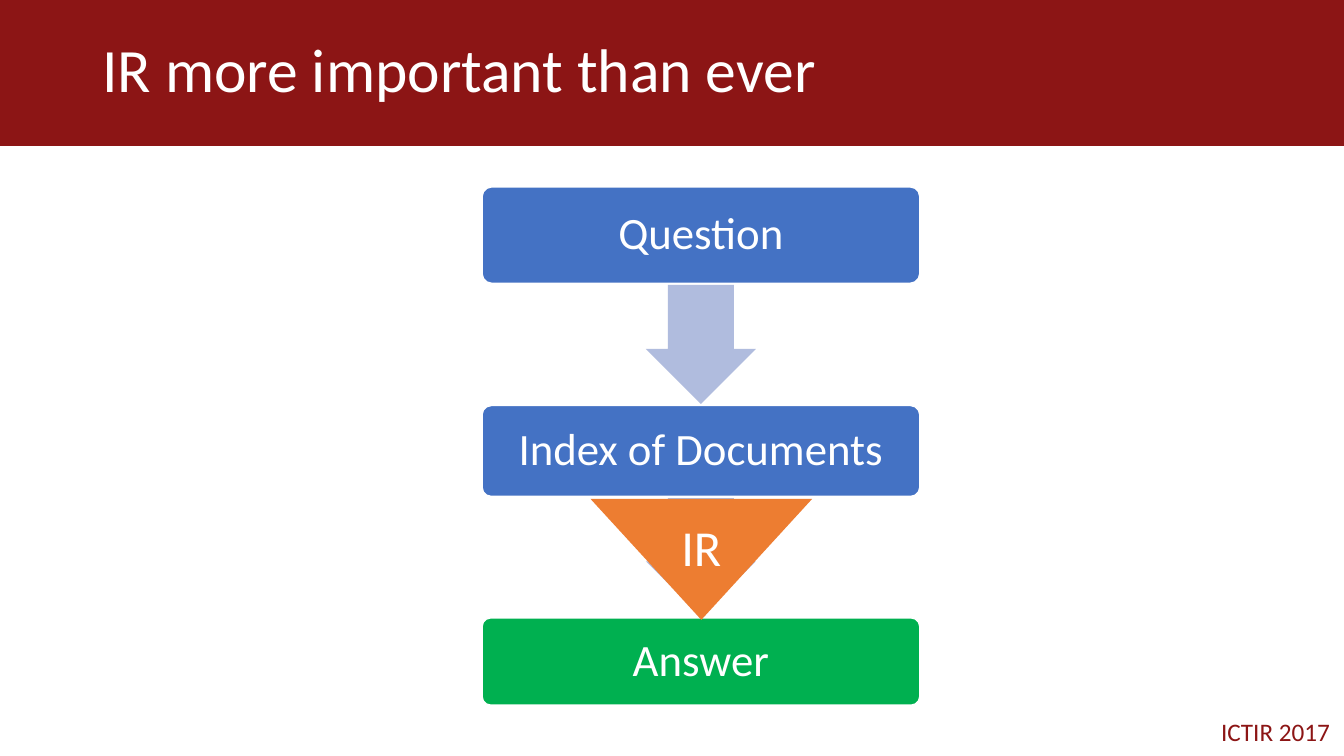
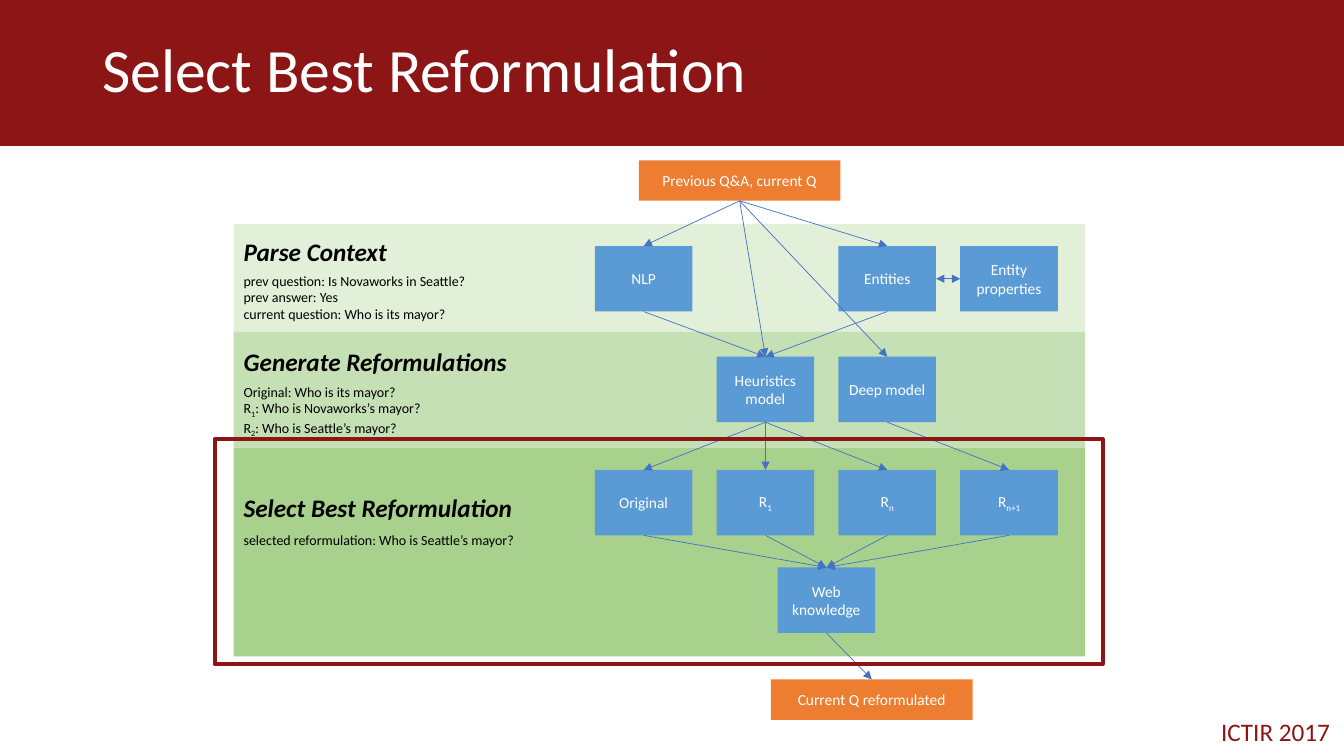
"""Builds two slides on question answering: a retrieval flow and a reformulation pipeline."""
import pptx
import pptx.util
import pptx.dml.color
import pptx.enum.shapes
import pptx.enum.text
import pptx.oxml.ns
from lxml import etree

Cm, Pt = pptx.util.Cm, pptx.util.Pt
RGBColor = pptx.dml.color.RGBColor
SHAPE = pptx.enum.shapes.MSO_SHAPE
ALIGN = pptx.enum.text.PP_ALIGN
ANCHOR = pptx.enum.text.MSO_ANCHOR
qn = pptx.oxml.ns.qn

CARDINAL = RGBColor(0x8C, 0x15, 0x15)
WHITE = RGBColor(0xFF, 0xFF, 0xFF)
BLACK = RGBColor(0, 0, 0)
BLUE = RGBColor(0x44, 0x72, 0xC4)
LIGHT_BLUE = RGBColor(0x5B, 0x9B, 0xD5)
PALE_BLUE = RGBColor(0xB0, 0xBC, 0xDE)
ORANGE = RGBColor(0xED, 0x7D, 0x31)
GREEN = RGBColor(0x00, 0xB0, 0x50)
STAGE_GREENS = [RGBColor(0xE2, 0xF0, 0xD9), RGBColor(0xC5, 0xE0, 0xB4), RGBColor(0xA9, 0xD1, 0x8E)]

FONT = "Calibri"
WIDTH, HEIGHT, BAND_HEIGHT = 33.87, 19.05, 3.68
FOOTER = "ICTIR 2017"

FLOW_TITLE = "IR more important than ever"
FLOW_LEFT, FLOW_WIDTH = 12.15, 11.03
FLOW_STEPS = [
    ("Question", 4.71, 2.43, BLUE),
    ("Index of Documents", 10.22, 2.29, BLUE),
    ("Answer", 15.57, 2.2, GREEN),
]
ARROW_WIDTH, ARROW_GAP = 2.77, 0.04
RETRIEVAL = ("IR", 14.88, 12.57, 5.59, 3.05)

PIPELINE_TITLE = "Select Best Reformulation"
STAGE_LEFT, STAGE_TOP, STAGE_WIDTH = 5.89, 5.64, 21.46
STAGES = [
    ("Parse Context", 2.72, 5.82, 6.73, [
        ["prev question: Is Novaworks in Seattle?"],
        ["prev answer: Yes"],
        ["current question: Who is its mayor?"],
    ]),
    ("Generate Reformulations", 2.92, 8.59, 9.53, [
        ["Original: Who is its mayor?"],
        ["R", "1", ": Who is Novaworks’s mayor?"],
        ["R", "2", ": Who is Seattle’s mayor?"],
    ]),
    ("Select Best Reformulation", 5.26, 12.29, 13.28, [
        ["selected reformulation: Who is Seattle’s mayor?"],
    ]),
]
GRID_LEFT, GRID_PITCH = 14.99, 3.07
NODE_WIDTH, NODE_HEIGHT = 2.46, 1.65
ROW_TOPS = [6.2, 8.99, 11.84, 14.3]
NODES = {
    "nlp": (["NLP"], 0, 0),
    "entities": (["Entities"], 2, 0),
    "properties": (["Entity properties"], 3, 0),
    "heuristics": (["Heuristics model"], 1, 1),
    "deep": (["Deep model"], 2, 1),
    "original": (["Original"], 0, 2),
    "r1": (["R", "1"], 1, 2),
    "rn": (["R", "n"], 2, 2),
    "rn+1": (["R", "n+1"], 3, 2),
    "web": (["Web knowledge"], 1.5, 3),
}
ENDPOINTS = {
    "input": (["Previous Q&A, current Q"], 16.1, 4.04),
    "output": (["Current Q reformulated"], 19.43, 17.12),
}
LINKS = {
    "input": ["nlp", "entities", "heuristics", "deep"],
    "nlp": ["heuristics"],
    "entities": ["heuristics"],
    "heuristics": ["original", "r1", "rn"],
    "deep": ["rn+1"],
    "original": ["web"],
    "r1": ["web"],
    "rn": ["web"],
    "rn+1": ["web"],
    "web": ["output"],
}
HIGHLIGHT = (5.41, 11.07, 22.38, 5.66)
TOP, LEFT, BOTTOM, RIGHT = range(4)


def write(frame, lines, size, color, align=ALIGN.CENTER, anchor=ANCHOR.MIDDLE, spacing=1.0, strong=False):
    """Fill a text frame; every second run of a line is a subscript."""
    frame.word_wrap = True
    frame.vertical_anchor = anchor
    for number, line in enumerate(lines):
        paragraph = frame.add_paragraph() if number else frame.paragraphs[0]
        paragraph.alignment = align
        paragraph.line_spacing = spacing
        for position, text in enumerate(line):
            run = paragraph.add_run()
            run.text = text
            run.font.name, run.font.size = FONT, Pt(size)
            run.font.color.rgb = color
            if strong:
                run.font.bold = run.font.italic = True
            if position % 2:
                run._r.get_or_add_rPr().set("baseline", "-25000")


def add_box(slide, left, top, width, height, fill=None, line=None, weight=1, kind=SHAPE.RECTANGLE):
    """Add a flat preset shape."""
    box = slide.shapes.add_shape(kind, Cm(left), Cm(top), Cm(width), Cm(height))
    box.shadow.inherit = False
    if fill is None:
        box.fill.background()
    else:
        box.fill.solid()
        box.fill.fore_color.rgb = fill
    if line is None:
        box.line.fill.background()
    else:
        box.line.color.rgb = line
        box.line.width = Pt(weight)
    return box


def add_label(slide, left, top, width, height, lines, size, color, **style):
    """Add a left-aligned text box unless the style says otherwise."""
    label = slide.shapes.add_textbox(Cm(left), Cm(top), Cm(width), Cm(height))
    write(label.text_frame, lines, size, color, **{"align": ALIGN.LEFT, "anchor": ANCHOR.TOP, **style})


def add_link(slide, source, source_side, target, target_side, both=False):
    """Join two boxes with an arrow."""
    link = slide.shapes.add_connector(pptx.enum.shapes.MSO_CONNECTOR.STRAIGHT, 0, 0, 0, 0)
    link.begin_connect(source, source_side)
    link.end_connect(target, target_side)
    link.line.color.rgb = BLUE
    link.line.width = Pt(0.5)
    outline = link.line._get_or_add_ln()
    for end in ["headEnd", "tailEnd"] if both else ["tailEnd"]:
        etree.SubElement(outline, qn("a:" + end), type="triangle")
    etree.SubElement(link._element.spPr, qn("a:effectLst"))


def add_slide(deck, title):
    """Add a slide with the shared footer, band and title."""
    slide = deck.slides.add_slide(deck.slide_layouts[6])
    add_label(slide, 28.77, 17.93, 5, 1.02, [[FOOTER]], 18, CARDINAL, align=ALIGN.RIGHT)
    add_box(slide, 0, 0, WIDTH, BAND_HEIGHT, CARDINAL)
    add_label(slide, 2.33, 0, 29.21, BAND_HEIGHT, [[title]], 44, WHITE, anchor=ANCHOR.MIDDLE, spacing=0.9)
    return slide


def build_flow(deck):
    """Draw the question-to-answer flow."""
    slide = add_slide(deck, FLOW_TITLE)
    for text, top, height, color in FLOW_STEPS:
        step = add_box(slide, FLOW_LEFT, top, FLOW_WIDTH, height, color, WHITE, kind=SHAPE.ROUNDED_RECTANGLE)
        step.adjustments[0] = 0.1
        write(step.text_frame, [[text]], 32, WHITE, spacing=0.9)
    arrow_left = FLOW_LEFT + (FLOW_WIDTH - ARROW_WIDTH) / 2
    for (_, top, height, _), (_, next_top, _, _) in zip(FLOW_STEPS, FLOW_STEPS[1:]):
        start = top + height + ARROW_GAP
        arrow = add_box(slide, arrow_left, start, ARROW_WIDTH, next_top - ARROW_GAP - start,
                        PALE_BLUE, kind=SHAPE.DOWN_ARROW)
        arrow.adjustments[0], arrow.adjustments[1] = 0.6, 0.5
    text, *place = RETRIEVAL
    retrieval = add_box(slide, *place, ORANGE, kind=SHAPE.FLOWCHART_MERGE)
    retrieval.text_frame.margin_top = Cm(1)
    write(retrieval.text_frame, [[text]], 36, WHITE)


def build_pipeline(deck):
    """Draw the reformulation pipeline."""
    slide = add_slide(deck, PIPELINE_TITLE)
    stage_top = STAGE_TOP
    for (heading, height, heading_top, detail_top, details), color in zip(STAGES, STAGE_GREENS):
        add_box(slide, STAGE_LEFT, stage_top, STAGE_WIDTH, height, color)
        add_label(slide, STAGE_LEFT, heading_top, 8.5, 1.02, [[heading]], 18, BLACK, strong=True)
        add_label(slide, STAGE_LEFT, detail_top, 8.5, 0.25 + 0.43 * len(details), details, 10, BLACK)
        stage_top += height
    boxes = {}
    for key, (runs, left, top) in ENDPOINTS.items():
        boxes[key] = add_box(slide, left, top, 5.08, 1.02, ORANGE)
        write(boxes[key].text_frame, [runs], 11, WHITE)
    for key, (runs, column, row) in NODES.items():
        boxes[key] = add_box(slide, GRID_LEFT + column * GRID_PITCH, ROW_TOPS[row],
                             NODE_WIDTH, NODE_HEIGHT, LIGHT_BLUE)
        write(boxes[key].text_frame, [runs], 11, WHITE)
    for source, targets in LINKS.items():
        for target in targets:
            add_link(slide, boxes[source], BOTTOM, boxes[target], TOP)
    add_link(slide, boxes["entities"], RIGHT, boxes["properties"], LEFT, both=True)
    add_box(slide, *HIGHLIGHT, line=CARDINAL, weight=3)


def main():
    """Build and save the deck."""
    deck = pptx.Presentation()
    deck.slide_width, deck.slide_height = Cm(WIDTH), Cm(HEIGHT)
    build_flow(deck)
    build_pipeline(deck)
    deck.save("out.pptx")


if __name__ == "__main__":
    main()
